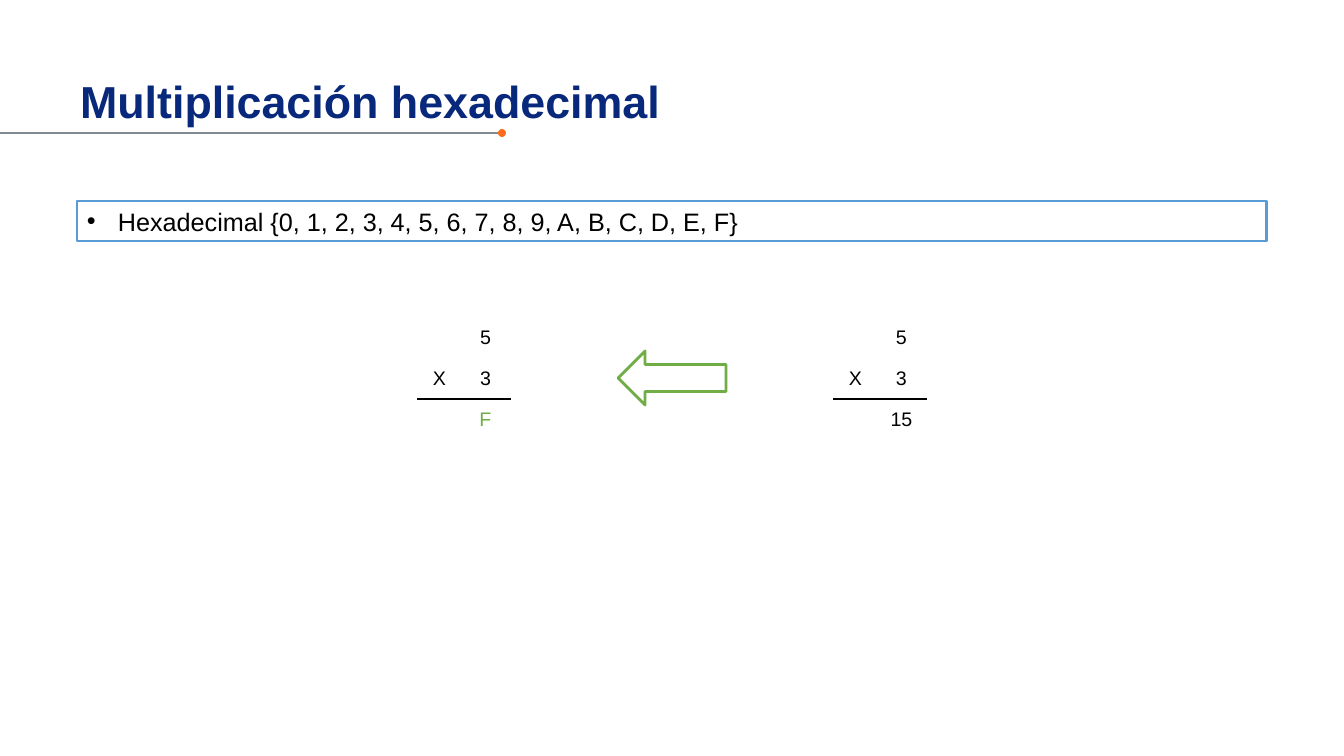
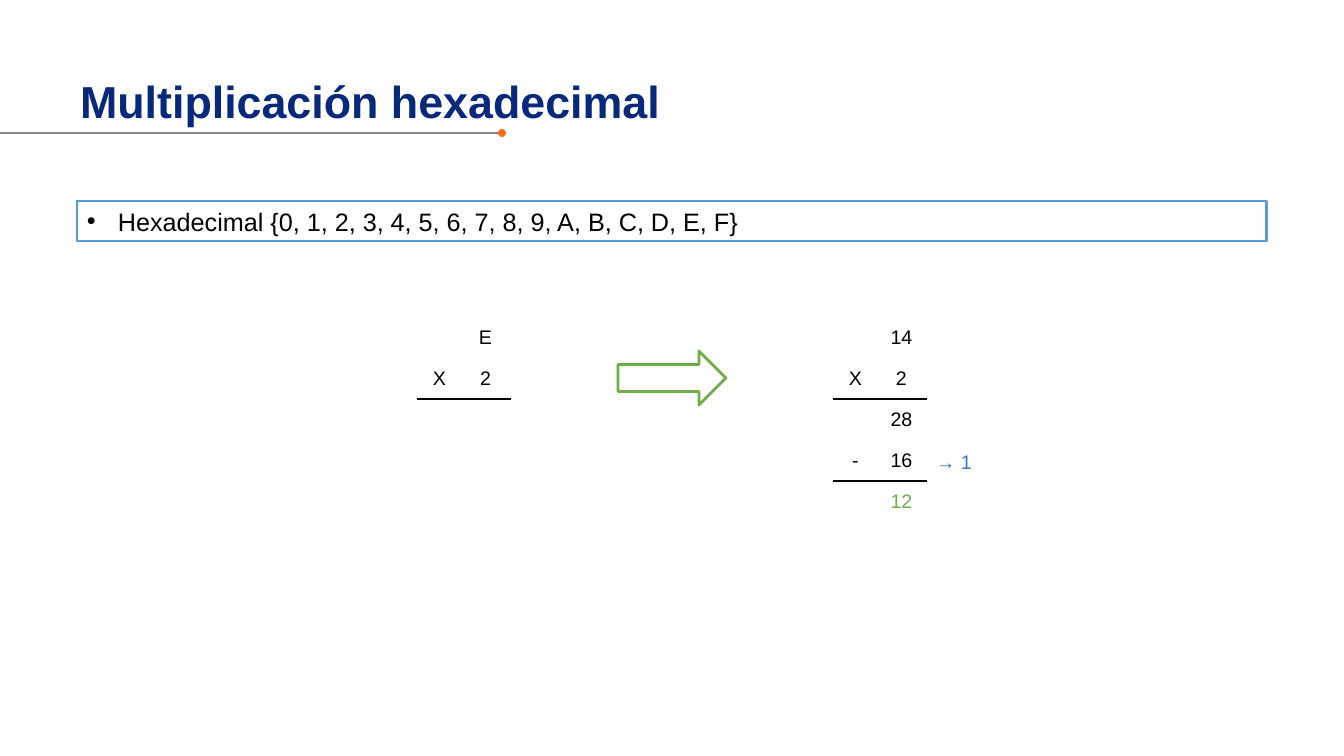
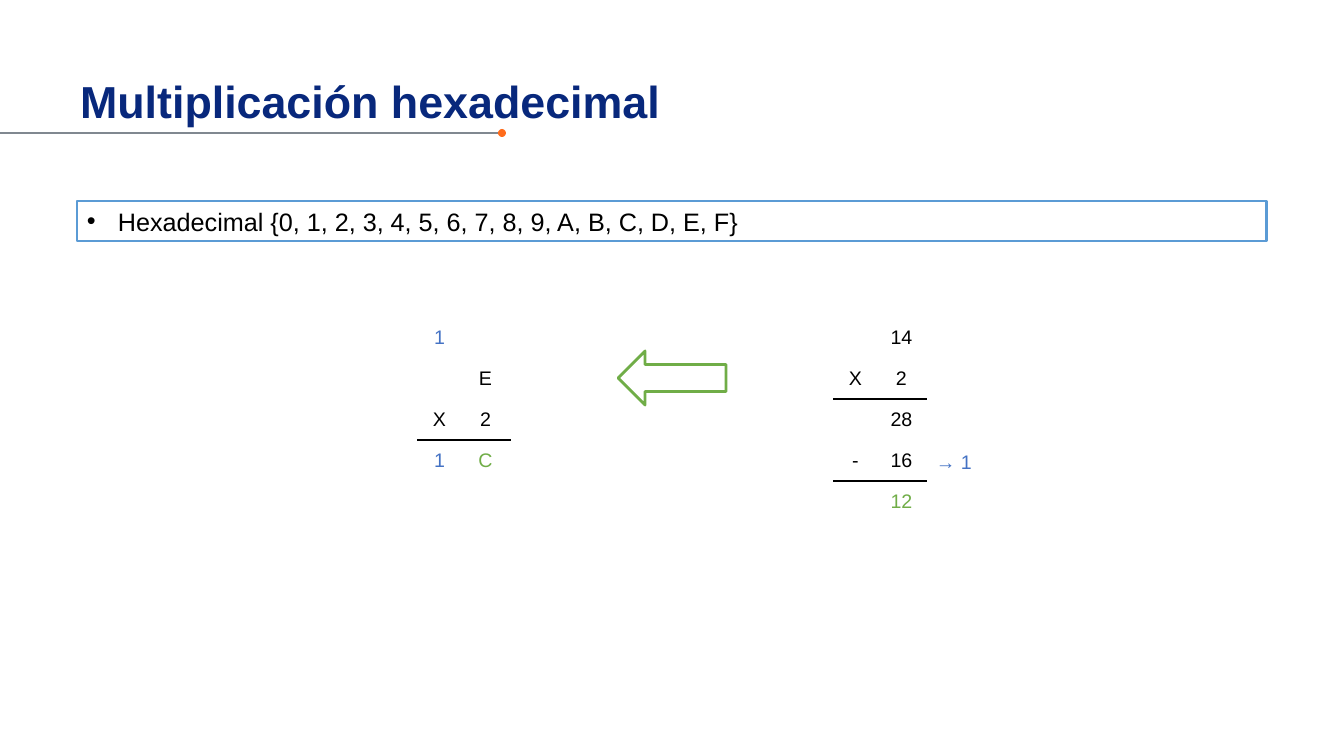
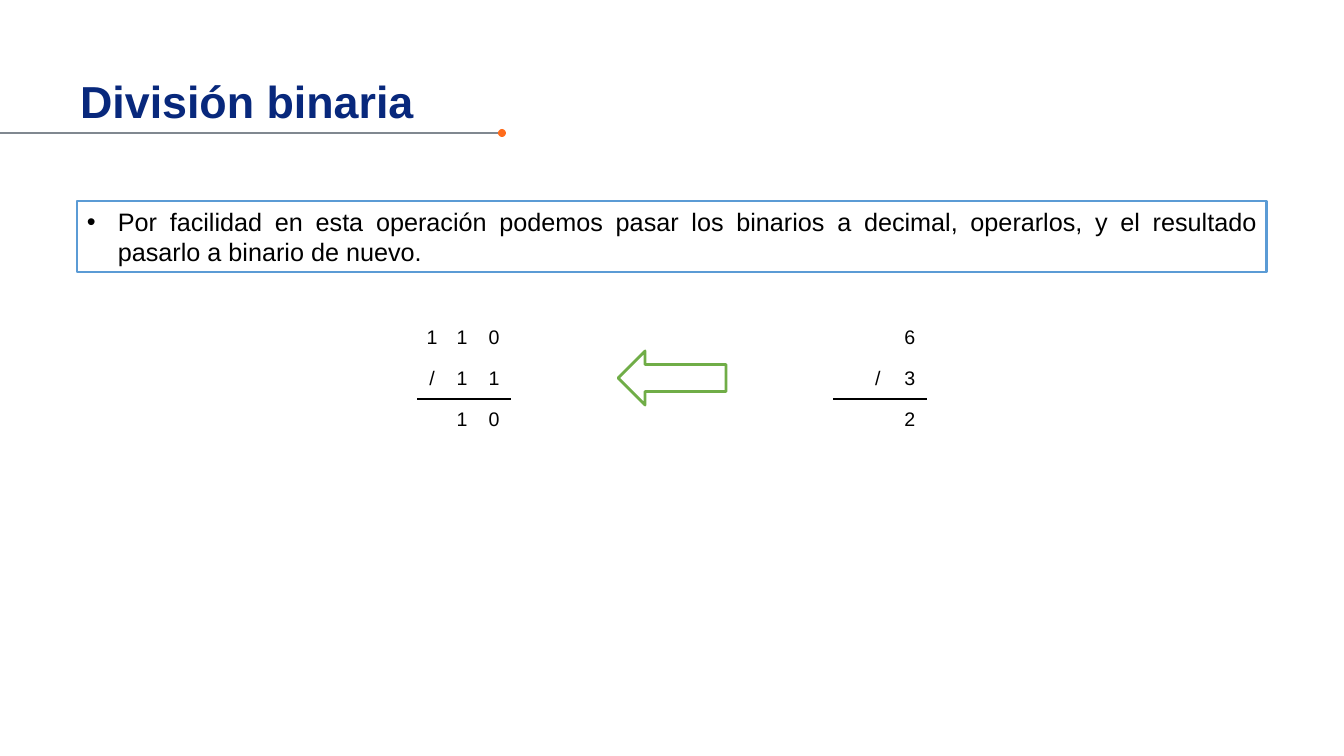
from lxml import etree
from pptx import Presentation
from pptx import util as u
from pptx.dml.color import RGBColor
from pptx.enum import shapes, text
from pptx.oxml import ns

NAVY, ORANGE, GREY, SKY = "08287C", "FF6C1B", "808890", "5B9BD5"
BLACK, WHITE, GREEN, BLUE = "000000", "FFFFFF", "70AD47", "4472C4"
FONT = "Arial"

DIGITS = "Hexadecimal {0, 1, 2, 3, 4, 5, 6, 7, 8, 9, A, B, C, D, E, F}"
BINARY = ("Por facilidad en esta operación podemos pasar los binarios a decimal, "
          "operarlos, y el resultado pasarlo a binario de nuevo.")
PRODUCT = "Multiplicación hexadecimal"
CARRY = {
    "rows": [["", "14"], ["X", "2"], ["", "28"], ["-", "16"], ["", ("12", GREEN)]],
    "rules": [1, 3], "note": "→ 1",
}
SLIDES = [
    {"title": PRODUCT, "text": DIGITS, "height": 40, "turn": 180,
     "left": {"rows": [["", "5"], ["X", "3"], ["", ("F", GREEN)]], "rules": [1]},
     "right": {"rows": [["", "5"], ["X", "3"], ["", "15"]], "rules": [1]}},
    {"title": PRODUCT, "text": DIGITS, "height": 40, "turn": 0,
     "left": {"rows": [["", "E"], ["X", "2"], ["", ""]], "rules": [1]},
     "right": CARRY},
    {"title": PRODUCT, "text": DIGITS, "height": 40, "turn": 180,
     "left": {"rows": [[("1", BLUE), ""], ["", "E"], ["X", "2"],
                       [("1", BLUE), ("C", GREEN)]], "rules": [2]},
     "right": CARRY},
    {"title": "División binaria", "text": BINARY, "height": 71, "turn": 180,
     "left": {"rows": [["1", "1", "0"], ["/", "1", "1"], ["", "1", "0"]], "rules": [1]},
     "right": {"rows": [["", "", "6"], ["", "/", "3"], ["", "", "2"]], "rules": [1]}},
]

SCALE = 914400 / 100.8
COLUMNS = {2: (43, 49), 3: (28, 32, 32)}
ROW, TABLE_TOP = 41, 317
TABLE_X = {"left": 418, "right": 834}


def px(n):
    return u.Emu(round(n * SCALE))


def box(*lengths):
    return [px(n) for n in lengths]


def rgb(color):
    return RGBColor.from_string(color)


def write(tf, words, size=14, color=BLACK, bold=False, align=text.PP_ALIGN.LEFT):
    p = tf.paragraphs[0]
    p.alignment = align
    r = p.add_run()
    r.text = words
    r.font.name, r.font.size, r.font.bold = FONT, u.Pt(size), bold
    r.font.color.rgb = rgb(color)
    return p


def add_preset(s, kind, place, fill, line=None):
    sp = s.shapes.add_shape(kind, *box(*place))
    sp.shadow.inherit = False
    sp.fill.solid()
    sp.fill.fore_color.rgb = rgb(fill)
    if line:
        sp.line.color.rgb = rgb(line)
        sp.line.width = u.Pt(2)
    else:
        sp.line.fill.background()
    return sp


def add_heading(s, words):
    line = s.shapes.add_connector(shapes.MSO_CONNECTOR.STRAIGHT, *box(-2, 133, 502, 133))
    line.line.color.rgb = rgb(GREY)
    line.line.width = u.Pt(0.75)
    etree.SubElement(line._element.spPr, ns.qn("a:effectLst"))
    add_preset(s, shapes.MSO_SHAPE.OVAL, (498, 129, 8, 8), ORANGE)
    title = s.shapes.title
    title.left, title.top, title.width, title.height = box(70, 69, 1011, 64)
    tf = title.text_frame
    tf.vertical_anchor = text.MSO_ANCHOR.TOP
    tf.auto_size = text.MSO_AUTO_SIZE.SHAPE_TO_FIT_TEXT
    write(tf, words, size=32, color=NAVY, bold=True)


def add_statement(s, words, height):
    sp = add_preset(s, shapes.MSO_SHAPE.RECTANGLE, (77, 201, 1190, height), WHITE, SKY)
    tf = sp.text_frame
    tf.word_wrap = True
    tf.auto_size = text.MSO_AUTO_SIZE.SHAPE_TO_FIT_TEXT
    pPr = write(tf, words, size=18, align=text.PP_ALIGN.JUSTIFY)._p.get_or_add_pPr()
    pPr.set("marL", str(px(31)))
    pPr.set("indent", str(px(-31)))
    etree.SubElement(pPr, ns.qn("a:buFont"), typeface=FONT)
    etree.SubElement(pPr, ns.qn("a:buChar"), char="•")


def add_border(cell, side):
    tcPr = cell._tc.get_or_add_tcPr()
    ln = etree.SubElement(tcPr, ns.qn("a:" + side), w=str(u.Pt(1)))
    fill = etree.SubElement(ln, ns.qn("a:solidFill"))
    etree.SubElement(fill, ns.qn("a:srgbClr"), val=BLACK)


def add_operation(s, x, operation):
    rows, rules = operation["rows"], operation["rules"]
    widths = COLUMNS[len(rows[0])]
    frame = s.shapes.add_table(len(rows), len(widths),
                               *box(x, TABLE_TOP, sum(widths), ROW * len(rows)))
    table = frame.table
    table.first_row = table.horz_banding = False
    for column, width in zip(table.columns, widths):
        column.width = px(width)
    for i, row in enumerate(rows):
        table.rows[i].height = px(ROW)
        for j, value in enumerate(row):
            words, color = value if isinstance(value, tuple) else (value, BLACK)
            cell = table.cell(i, j)
            cell.margin_left = cell.margin_right = px(5)
            cell.margin_top = cell.margin_bottom = px(4)
            cell.vertical_anchor = text.MSO_ANCHOR.MIDDLE
            if i - 1 in rules:
                add_border(cell, "lnT")
            if i in rules:
                add_border(cell, "lnB")
            cell.fill.background()
            if words:
                write(cell.text_frame, words, color=color, align=text.PP_ALIGN.CENTER)
    if "note" in operation:
        note = s.shapes.add_textbox(*box(x + sum(widths), 445, 56, 34))
        note.text_frame.word_wrap = False
        note.text_frame.auto_size = text.MSO_AUTO_SIZE.SHAPE_TO_FIT_TEXT
        write(note.text_frame, operation["note"], color=BLUE)


def main():
    prs = Presentation()
    prs.slide_width, prs.slide_height = box(1344, 756)
    for content in SLIDES:
        s = prs.slides.add_slide(prs.slide_layouts[5])
        add_heading(s, content["title"])
        add_statement(s, content["text"], content["height"])
        for side, x in TABLE_X.items():
            add_operation(s, x, content[side])
        arrow = add_preset(s, shapes.MSO_SHAPE.RIGHT_ARROW, (618, 351, 108, 54), WHITE, GREEN)
        arrow.rotation = content["turn"]
    prs.save("out.pptx")


if __name__ == "__main__":
    main()
